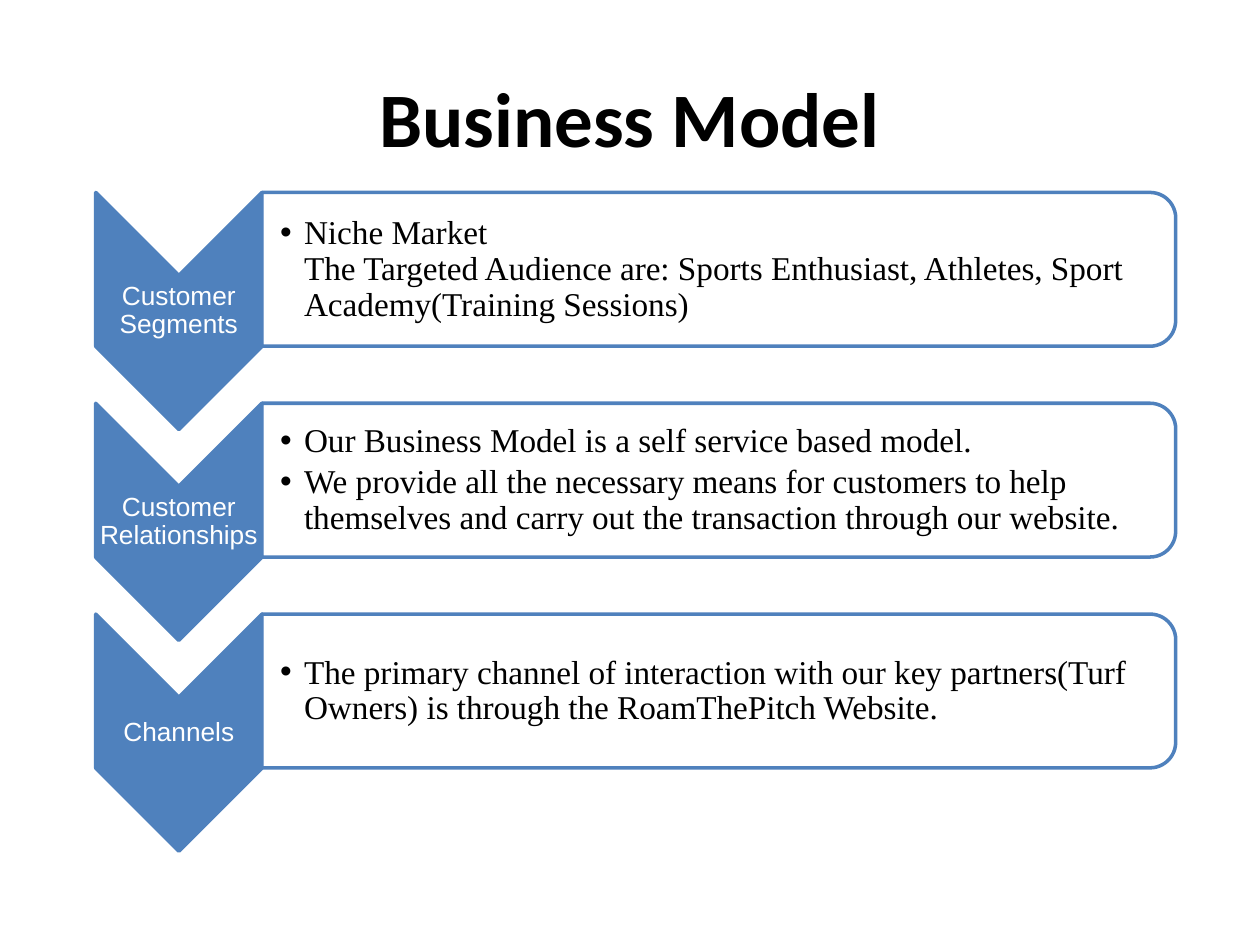
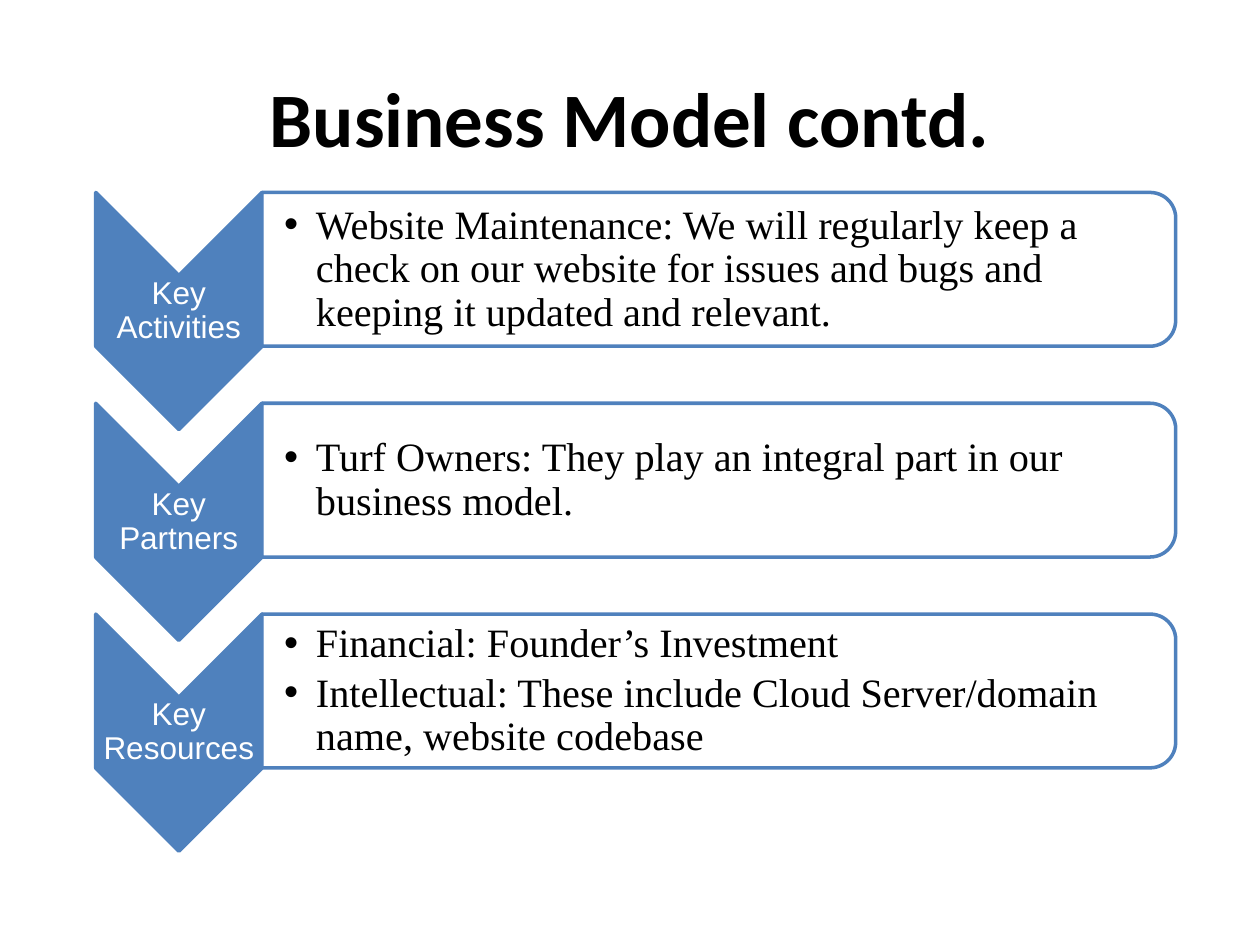
from lxml.etree import SubElement as Sub
from pptx import Presentation as Deck
from pptx.dml.color import RGBColor as Rgb
from pptx.enum.shapes import MSO_SHAPE as Kind
from pptx.enum.text import MSO_ANCHOR as Anchor, MSO_AUTO_SIZE as Fit, PP_ALIGN as Align
from pptx.oxml.ns import qn
from pptx.util import Cm, Pt

HUES = {"blue": "4F81BD", "white": "FFFFFF", "black": "000000"}
FONTS = {"title": "Calibri", "label": "Arial", "body": "Times New Roman"}
TOP, STEP = 3.88, 4.25
LONG, WIDE = 4.78, 3.35
CARD_X, CARD_W, CARD_H = 5.28, 18.42, 3.1

SLIDES = [
    {
        "title": "Business Model", "label": 15, "body": 19,
        "inset": 0.37, "edge": 0.03, "indent": 0.48,
        "rows": [
            ("Customer Segments", [
                "Niche Market\nThe Targeted Audience are: Sports Enthusiast, "
                "Athletes, Sport Academy(Training Sessions)"]),
            ("Customer Relationships", [
                "Our Business Model is a self service based model.",
                "We provide all the necessary means for customers to help "
                "themselves and carry out the transaction through our website."]),
            ("Channels", [
                "The primary channel of interaction with our key partners(Turf "
                "Owners) is through the RoamThePitch Website."]),
        ],
    },
    {
        "title": "Business Model contd.", "label": 18, "body": 23,
        "inset": 0.45, "edge": 0.04, "indent": 0.64,
        "rows": [
            ("Key Activities", [
                "Website Maintenance: We will regularly keep a check on our "
                "website for issues and bugs and keeping it updated and relevant."]),
            ("Key Partners", [
                "Turf Owners: They play an integral part in our business model."]),
            ("Key Resources", [
                "Financial: Founder’s Investment",
                "Intellectual: These include Cloud Server/domain name, "
                "website codebase"]),
        ],
    },
]


class Page:
    def __init__(self, deck, style):
        self.style = style
        self.slide = deck.slides.add_slide(deck.slide_layouts[5])

    def say(self, para, text, role, size, hue, bold=False):
        for i, line in enumerate(text.split("\n")):
            if i:
                para.add_line_break()
            run = para.add_run()
            run.text = line
            font = run.font
            font.name, font.size, font.bold = FONTS[role], Pt(size), bold
            font.color.rgb = Rgb.from_string(HUES[hue])

    def title(self):
        box = self.slide.shapes.title
        box.left, box.top, box.width, box.height = Cm(1.27), Cm(0.76), Cm(22.86), Cm(3.18)
        frame = box.text_frame
        frame.vertical_anchor, frame.auto_size = Anchor.MIDDLE, Fit.NONE
        para = frame.paragraphs[0]
        para.alignment = Align.CENTER
        self.say(para, self.style["title"], "title", 44, "black", True)

    def turned(self, kind, x, y, wide, high, hue):
        shift = (wide - high) / 2
        shape = self.slide.shapes.add_shape(
            kind, Cm(x + shift), Cm(y - shift), Cm(high), Cm(wide))
        shape.rotation = 90
        shape.shadow.inherit = False
        shape.fill.solid()
        shape.fill.fore_color.rgb = Rgb.from_string(HUES[hue])
        shape.line.color.rgb = Rgb.from_string(HUES["blue"])
        shape.line.width = Pt(2)
        return shape

    def arrow(self, y):
        self.turned(Kind.CHEVRON, 1.93, y, WIDE, LONG, "blue")

    def card(self, y):
        shape = self.turned(Kind.ROUND_2_SAME_RECTANGLE, CARD_X, y, CARD_W, CARD_H, "white")
        tint = shape.element.spPr.find(qn("a:solidFill"))[0]
        Sub(tint, qn("a:alpha"), val="90000")

    def frame(self, x, y, wide, high, inset, edge):
        frame = self.slide.shapes.add_textbox(Cm(x), Cm(y), Cm(wide), Cm(high)).text_frame
        frame.word_wrap, frame.vertical_anchor = True, Anchor.MIDDLE
        frame.margin_left = Cm(inset)
        frame.margin_right = frame.margin_top = frame.margin_bottom = Cm(edge)
        return frame

    def label(self, text, y):
        size = self.style["label"]
        para = self.frame(1.93, y + 1.68, WIDE, 1.42, 0.03, 0.03).paragraphs[0]
        para.alignment = Align.CENTER
        para.line_spacing, para.space_after = 0.9, Pt(size * 0.35)
        self.say(para, text, "label", size, "white")

    def points(self, texts, y):
        style = self.style
        frame = self.frame(CARD_X, y + 0.16, 18.26, 2.79, style["inset"], style["edge"])
        for i, text in enumerate(texts):
            para = frame.add_paragraph() if i else frame.paragraphs[0]
            para.level = 1
            para.line_spacing, para.space_after = 0.9, Pt(style["body"] * 0.15)
            self.bullet(para, Cm(style["indent"]))
            self.say(para, text, "body", style["body"], "black")

    def bullet(self, para, indent):
        props = para._p.get_or_add_pPr()
        props.set("marL", str(indent))
        props.set("indent", str(-indent))
        tint = Sub(props, qn("a:buClr"))
        Sub(tint, qn("a:srgbClr"), val=HUES["black"])
        Sub(props, qn("a:buFont"), typeface="Arial")
        Sub(props, qn("a:buChar"), char="•")

    def row(self, i, name, texts):
        y = TOP + i * STEP
        self.arrow(y)
        self.label(name, y)
        self.card(y)
        self.points(texts, y)


def main():
    deck = Deck()
    deck.slide_width, deck.slide_height = Cm(25.4), Cm(19.05)
    for style in SLIDES:
        page = Page(deck, style)
        page.title()
        for i, (name, texts) in enumerate(style["rows"]):
            page.row(i, name, texts)
    deck.save("out.pptx")


if __name__ == "__main__":
    main()
